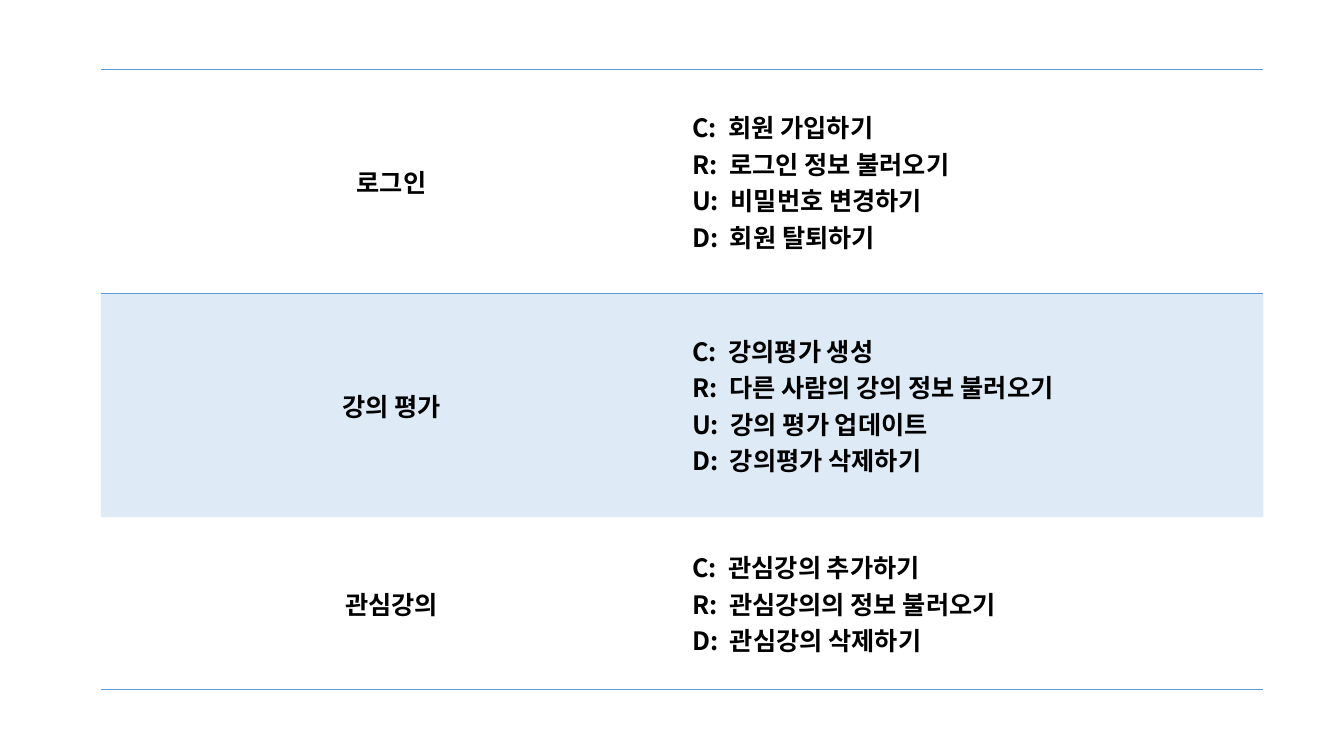
import pptx
import pptx.util
import pptx.dml.color
import pptx.enum.text
import pptx.oxml
from pptx.oxml.ns import nsdecls, qn
from pptx.util import Inches

# Content: feature, then its operations
FEATURES = [
    ("로그인", [("C:", "회원 가입하기"), ("R:", "로그인 정보 불러오기"),
             ("U:", "비밀번호 변경하기"), ("D:", "회원 탈퇴하기")]),
    ("강의 평가", [("C:", "강의평가 생성"), ("R:", "다른 사람의 강의 정보 불러오기"),
               ("U:", "강의 평가 업데이트"), ("D:", "강의평가 삭제하기")]),
    ("관심강의", [("C:", "관심강의 추가하기"), ("R:", "관심강의의 정보 불러오기"),
              ("D:", "관심강의 삭제하기")]),
]
ROW_HEIGHTS = [2.22, 2.22, 1.71]
ROW_BORDERS = [("lnT", "lnB"), (), ("lnB",)]
BANDED_ROW = 1


class Theme:
    font = "Noto Sans CJK KR"
    size = pptx.util.Pt(18)
    text = pptx.dml.color.RGBColor(0, 0, 0)
    accent = "5B9BD5"
    band_alpha = 20000
    label_gap = "420"
    plain_table = "{2D5ABB26-0587-4C30-8999-92F81FD0307C}"


def add_run(paragraph, text):
    run = paragraph.add_run()
    run.text = text
    run.font.name = Theme.font
    run.font.size = Theme.size
    run.font.bold = True
    run.font.color.rgb = Theme.text
    properties = run._r.get_or_add_rPr()
    east_asian = pptx.oxml.parse_xml(f'<a:ea {nsdecls("a")} typeface="{Theme.font}"/>')
    properties.find(qn("a:latin")).addnext(east_asian)
    return run


def style_cell(cell, borders, banded):
    cell.vertical_anchor = pptx.enum.text.MSO_ANCHOR.MIDDLE
    properties = cell._tc.get_or_add_tcPr()
    color = f'<a:srgbClr val="{Theme.accent}"/>'
    for border in borders:
        properties.append(pptx.oxml.parse_xml(
            f'<a:{border} {nsdecls("a")} w="12700"><a:solidFill>{color}</a:solidFill></a:{border}>'))
    if banded:
        properties.append(pptx.oxml.parse_xml(
            f'<a:solidFill {nsdecls("a")}><a:srgbClr val="{Theme.accent}">'
            f'<a:alpha val="{Theme.band_alpha}"/></a:srgbClr></a:solidFill>'))
    else:
        cell.fill.background()


# Slide
presentation = pptx.Presentation()
presentation.slide_width = Inches(13.33)
presentation.slide_height = Inches(7.5)
slide = presentation.slides.add_slide(presentation.slide_layouts[6])

# Table frame
frame = slide.shapes.add_table(len(FEATURES), 2, Inches(1), Inches(0.69),
                               Inches(11.53), Inches(sum(ROW_HEIGHTS)))
table = frame.table
table.first_row = table.horz_banding = False
table._tbl.tblPr.find(qn("a:tableStyleId")).text = Theme.plain_table

# Rows
for index, (feature, operations) in enumerate(FEATURES):
    table.rows[index].height = Inches(ROW_HEIGHTS[index])
    feature_cell, operations_cell = table.rows[index].cells
    for cell in (feature_cell, operations_cell):
        style_cell(cell, ROW_BORDERS[index], index == BANDED_ROW)

    heading = feature_cell.text_frame.paragraphs[0]
    heading.alignment = pptx.enum.text.PP_ALIGN.CENTER
    add_run(heading, feature)

    text_frame = operations_cell.text_frame
    for position, (label, operation) in enumerate(operations):
        paragraph = text_frame.add_paragraph() if position else text_frame.paragraphs[0]
        add_run(paragraph, label)
        gap = add_run(paragraph, " ")
        gap._r.get_or_add_rPr().set("spc", Theme.label_gap)
        add_run(paragraph, operation)

presentation.save("out.pptx")
